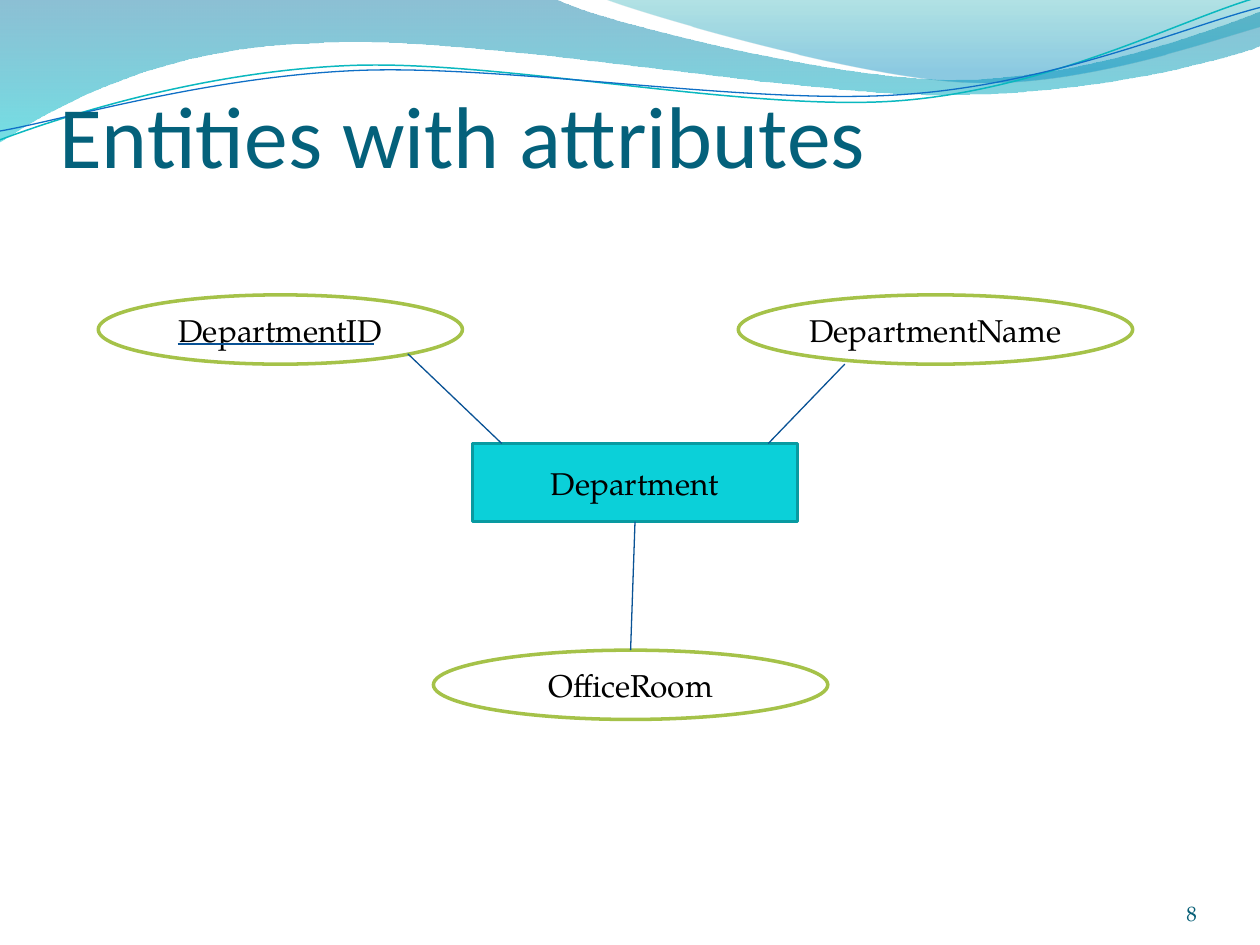
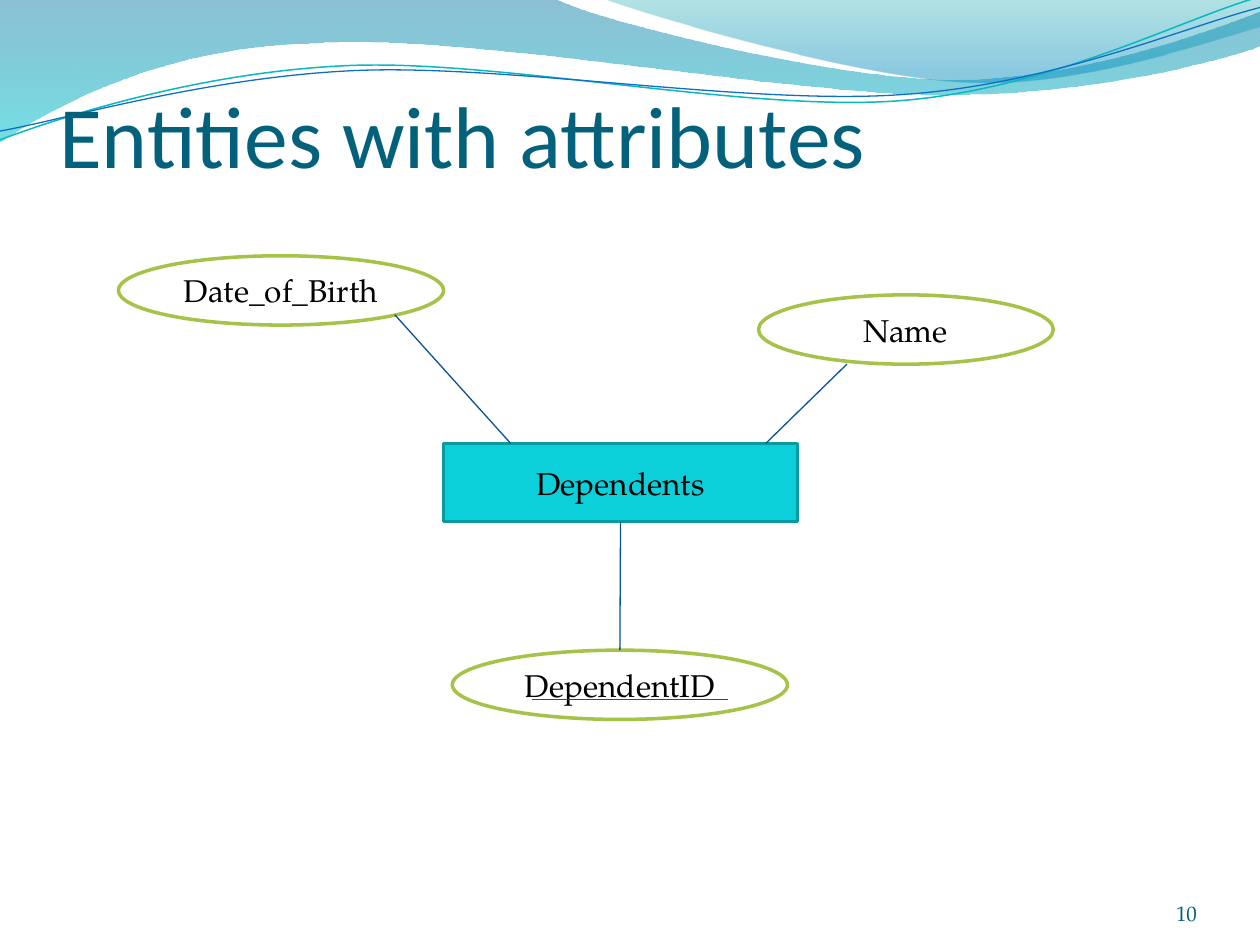
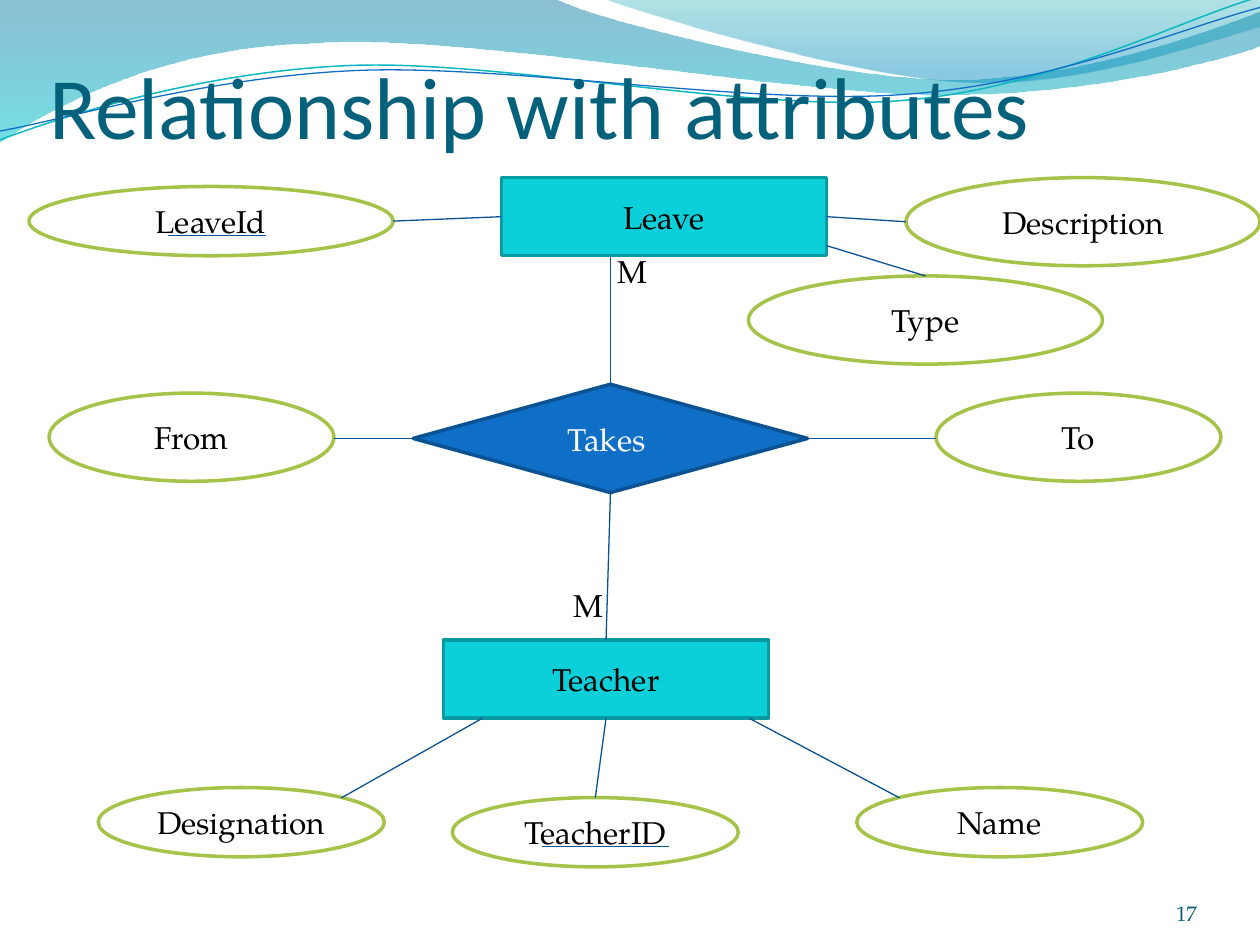
from dataclasses import dataclass
from math import cos, radians, sin

from lxml.etree import SubElement
from pptx import Presentation
from pptx.dml.color import RGBColor
from pptx.enum.shapes import MSO_CONNECTOR as Connector, MSO_SHAPE as Preset
from pptx.enum.text import MSO_ANCHOR as Anchor, MSO_AUTO_SIZE as AutoSize, PP_ALIGN as Align
from pptx.oxml.ns import qn
from pptx.util import Inches, Pt


@dataclass(frozen=True)
class Theme:
    title: str = "04617B"
    number: str = "045D75"
    ink: str = "000000"
    paper: str = "FFFFFF"
    entity: str = "0BD0D9"
    entity_line: str = "089AA1"
    attribute_line: str = "A5C249"
    relation: str = "0F6FC6"
    relation_line: str = "0B5292"
    link: str = "095295"
    wave_teal: str = "0AB8BF"
    heading_font: str = "Calibri"
    body_font: str = "TeX Gyre Pagella"
    title_size: float = 50
    body_size: float = 18
    number_size: float = 12
    outline: float = 2
    thin: float = 0.75


@dataclass(frozen=True)
class Box:
    left: float
    top: float
    width: float
    height: float

    def inner(self, left, top, width, height):
        return Box(self.left + left, self.top + top, width, height)

    def point(self, across, down):
        return self.left + across * self.width, self.top + down * self.height

    def inches(self):
        return [Inches(value) for value in (self.left, self.top, self.width, self.height)]


THEME = Theme()
PAGE = Box(0, 0, 10, 7.5)
BODY = Box(0, 1.25, 10, 5.7)
ENTITY_HEIGHT = 0.62
SMALL_OVAL = 0.55
LARGE_OVAL = 0.7
WAVE_TILT = 2.7
LOWER_RIGHT = (0.85, 0.85)
UPPER_RIGHT = (0.85, 0.15)
UPPER_LEFT = (0.15, 0.15)
TOP, BOTTOM, LEFT, RIGHT = (0.5, 0), (0.5, 1), (0, 0.5), (1, 0.5)

WAVE_BAND = [
    [(0, 0)], [(4.4, -0.01)],
    [(4.76, 0.17), (6.64, 0.63), (7.58, 0.63)],
    [(8.53, 0.63), (9.58, 0.26), (10, 0.09)],
    [(10.01, 0.36)],
    [(9.83, 0.44), (8.7, 0.76), (7.46, 0.75)],
    [(6.22, 0.75), (3.82, 0.28), (2.57, 0.34)],
    [(1.29, 0.36), (0.46, 0.83), (-0.01, 1.13)],
    [(0, 0)],
]
WAVE_CORNER = [
    [(4.79, -0.01)],
    [(5.09, 0.11), (6.82, 0.62), (7.69, 0.65)],
    [(8.56, 0.69), (9.61, 0.32), (10, 0.21)],
    [(10, 0)],
    [(4.79, -0.01)],
]
WAVE_TEAL = [
    [(0, 1.11)],
    [(0.48, 0.93), (1.58, 0.57), (2.77, 0.52)],
    [(3.95, 0.47), (5.93, 0.89), (7.13, 0.8)],
    [(8.33, 0.71), (9.38, 0.15), (9.98, -0.02)],
]
WAVE_BLUE = [
    [(0, 1.04)],
    [(0.47, 0.96), (1.64, 0.61), (2.83, 0.56)],
    [(4.03, 0.51), (5.97, 0.84), (7.17, 0.75)],
    [(8.36, 0.67), (9.41, 0.21), (10, 0.06)],
]


def color(value):
    return RGBColor.from_string(value)


def set_line(shape, line_color, width):
    shape.line.color.rgb = color(line_color)
    shape.line.width = Pt(width)


def set_text(shape, text, size, ink, font=THEME.body_font, align=Align.LEFT):
    shape.text_frame.text = text
    paragraph = shape.text_frame.paragraphs[0]
    paragraph.alignment = align
    for run in paragraph.runs:
        run.font.size = Pt(size)
        run.font.name = font
        run.font.color.rgb = color(ink)


def add_text(slide, box, text, *style, inset_top=0, **options):
    shape = slide.shapes.add_textbox(*box.inches())
    frame = shape.text_frame
    frame.word_wrap = True
    frame.vertical_anchor = Anchor.BOTTOM
    frame.margin_left = frame.margin_right = frame.margin_bottom = 0
    frame.margin_top = Inches(inset_top)
    set_text(shape, text, *style, **options)


def turn(segments, center, degrees):
    (x0, y0), angle = center, radians(degrees)
    return [[(x0 + (x - x0) * cos(angle) - (y - y0) * sin(angle),
              y0 + (x - x0) * sin(angle) + (y - y0) * cos(angle)) for x, y in segment]
            for segment in segments]


def bend(shape, segments):
    lines = shape._element.spPr.iter(qn("a:lnTo"))
    lines = iter(list(lines))
    for segment in segments[1:]:
        sides = [next(lines) for _ in segment]
        if len(sides) == 3:
            curve = sides[0].makeelement(qn("a:cubicBezTo"))
            sides[0].addprevious(curve)
            for side in sides:
                curve.append(side[0])
                side.getparent().remove(side)


def add_outline(slide, box, segments, close):
    points = [(Inches(box.left + x), Inches(box.top + y)) for segment in segments for x, y in segment]
    builder = slide.shapes.build_freeform(*points[0], scale=1.0)
    builder.add_line_segments(points[1:], close=close)
    shape = builder.convert_to_shape()
    shape.shadow.inherit = False
    bend(shape, segments)
    return shape


def add_wave(slide, box, segments, stops):
    shape = add_outline(slide, box, segments, True)
    shape.fill.gradient()
    shape.fill.gradient_angle = 270
    for stop, (position, value, _) in zip(shape.fill.gradient_stops, stops):
        stop.position = position
        stop.color.rgb = color(value)
    for element, (_, _, opacity) in zip(shape._element.spPr.iter(qn("a:srgbClr")), stops):
        SubElement(element, qn("a:alpha")).set("val", str(opacity * 1000))
    shape.line.fill.background()


def add_wave_line(slide, box, segments, middle, line_color, width):
    shape = add_outline(slide, box, turn(segments, middle, WAVE_TILT), False)
    shape.rotation = 360 - WAVE_TILT
    shape.fill.background()
    set_line(shape, line_color, width)


def add_header(slide, box):
    add_wave(slide, box, WAVE_BAND, [(0, "0074A1", 45), (1, "00C6CF", 55)])
    add_wave(slide, box, WAVE_CORNER, [(0, "00A1A9", 30), (0.8, "008BBF", 45)])
    add_wave_line(slide, box, WAVE_TEAL, (4.99, 0.57), THEME.wave_teal, 0.85)
    add_wave_line(slide, box, WAVE_BLUE, (5, 0.59), THEME.relation, THEME.thin)


def add_node(slide, box, text, preset, fill, outline, ink=THEME.ink):
    shape = slide.shapes.add_shape(preset, *box.inches())
    shape.shadow.inherit = False
    shape.fill.solid()
    shape.fill.fore_color.rgb = color(fill)
    set_line(shape, outline, THEME.outline)
    shape.text_frame.vertical_anchor = Anchor.MIDDLE
    set_text(shape, text, THEME.body_size, ink, align=Align.CENTER)
    return box


def add_entity(slide, box, text):
    return add_node(slide, box, text, Preset.RECTANGLE, THEME.entity, THEME.entity_line)


def add_attribute(slide, box, text):
    return add_node(slide, box, text, Preset.OVAL, THEME.paper, THEME.attribute_line)


def add_link(slide, start, end):
    connector = slide.shapes.add_connector(
        Connector.STRAIGHT, *[Inches(value) for value in (*start, *end)])
    set_line(connector, THEME.link, THEME.thin)
    SubElement(connector._element.spPr, qn("a:effectLst"))


def add_key_line(slide, box, offset, width):
    left, top = box.left + offset, box.top + 0.39
    add_link(slide, (left, top), (left + width, top))


def add_cardinality(slide, box):
    shape = slide.shapes.add_textbox(*box.inches())
    shape.text_frame.word_wrap = False
    shape.text_frame.auto_size = AutoSize.SHAPE_TO_FIT_TEXT
    set_text(shape, "M", THEME.body_size, THEME.ink)


def draw_entity(slide, box, name, span, attributes, key):
    left, width = span
    entity = add_entity(slide, box.inner(left, 2.27, width, ENTITY_HEIGHT), name)
    for text, left, top, width, site, across, down in attributes:
        oval = add_attribute(slide, box.inner(left, top, width, SMALL_OVAL), text)
        add_link(slide, entity.point(across, down), oval.point(*site))
        if text == key:
            add_key_line(slide, oval, 0.63, 1.56)


def draw_department(slide, box):
    draw_entity(slide, box, "Department", (3.75, 2.58), [
        ("DepartmentID", 0.78, 1.09, 2.89, LOWER_RIGHT, 0.09, 0),
        ("DepartmentName", 5.86, 1.09, 3.13, (0.27, 1), 0.91, 0),
        ("OfficeRoom", 3.44, 3.91, 3.13, TOP, 0.5, 1),
    ], "DepartmentID")


def draw_dependents(slide, box):
    draw_entity(slide, box, "Dependents", (3.52, 2.81), [
        ("Date_of_Birth", 0.94, 0.78, 2.58, LOWER_RIGHT, 0.19, 0),
        ("Name", 6.02, 1.09, 2.34, (0.3, 1), 0.91, 0),
        ("DependentID", 3.59, 3.91, 2.66, TOP, 0.5, 1),
    ], "DependentID")


def draw_leave(slide, box):
    entity = add_entity(slide, box.inner(3.98, 0.16, 2.58, ENTITY_HEIGHT), "Leave")
    key = add_attribute(slide, box.inner(0.23, 0.23, 2.89, SMALL_OVAL), "LeaveId")
    description = add_attribute(slide, box.inner(7.19, 0.16, 2.81, LARGE_OVAL), "Description")
    kind = add_attribute(slide, box.inner(5.94, 0.94, 2.81, LARGE_OVAL), "Type")
    add_key_line(slide, key, 1.1, 0.78)
    add_link(slide, key.point(*RIGHT), entity.point(*LEFT))
    add_link(slide, entity.point(*RIGHT), description.point(*LEFT))
    add_link(slide, entity.point(1, 0.87), kind.point(*TOP))
    return entity


def draw_takes(slide, box):
    relation = add_node(slide, box.inner(3.28, 1.8, 3.13, 0.86), "Takes ",
                        Preset.DIAMOND, THEME.relation, THEME.relation_line, THEME.paper)
    for text, left, site, oval_site in (("From", 0.39, LEFT, RIGHT), ("To", 7.43, RIGHT, LEFT)):
        oval = add_attribute(slide, box.inner(left, 1.87, 2.26, LARGE_OVAL), text)
        start = relation.point(*site)
        add_link(slide, start, (oval.point(*oval_site)[0], start[1]))
    return relation


def draw_teacher(slide, box):
    entity = add_entity(slide, box.inner(3.52, 3.83, 2.58, ENTITY_HEIGHT), "Teacher")
    for text, left, top, site, across in (
        ("Designation", 0.78, 5, UPPER_RIGHT, 0.12),
        ("TeacherID", 3.59, 5.08, TOP, 0.5),
        ("Name", 6.8, 5, UPPER_LEFT, 0.94),
    ):
        oval = add_attribute(slide, box.inner(left, top, 2.27, SMALL_OVAL), text)
        add_link(slide, entity.point(across, 1), oval.point(*site))
        if text == "TeacherID":
            add_key_line(slide, oval, 0.71, 1.01)
    return entity


def draw_relationship(slide, box):
    teacher = draw_teacher(slide, box)
    takes = draw_takes(slide, box)
    leave = draw_leave(slide, box)
    crown = takes.point(*TOP)
    add_link(slide, crown, (crown[0], leave.point(*BOTTOM)[1]))
    add_link(slide, teacher.point(*TOP), takes.point(*BOTTOM))
    for left, top in ((4.8, 0.7), (4.45, 3.35)):
        add_cardinality(slide, box.inner(left, top, 0.43, 0.4))


def build_slide(presentation, title, title_box, number, draw):
    slide = presentation.slides.add_slide(presentation.slide_layouts[6])
    add_header(slide, PAGE)
    add_text(slide, title_box, title, THEME.title_size, THEME.title,
             font=THEME.heading_font, inset_top=0.05)
    draw(slide, BODY)
    add_text(slide, PAGE.inner(8.67, 6.95, 0.83, 0.4), number,
             THEME.number_size, THEME.number, align=Align.RIGHT)


def main():
    presentation = Presentation()
    presentation.slide_width = Inches(PAGE.width)
    presentation.slide_height = Inches(PAGE.height)
    entity_title = PAGE.inner(0.47, 0.23, 9, 1.25)
    relation_title = PAGE.inner(0.39, 0.23, 9, 1.02)
    for content in (
        ("Entities with attributes", entity_title, "8", draw_department),
        ("Entities with attributes", entity_title, "10", draw_dependents),
        ("Relationship with attributes", relation_title, "17", draw_relationship),
    ):
        build_slide(presentation, *content)
    presentation.save("out.pptx")


main()
